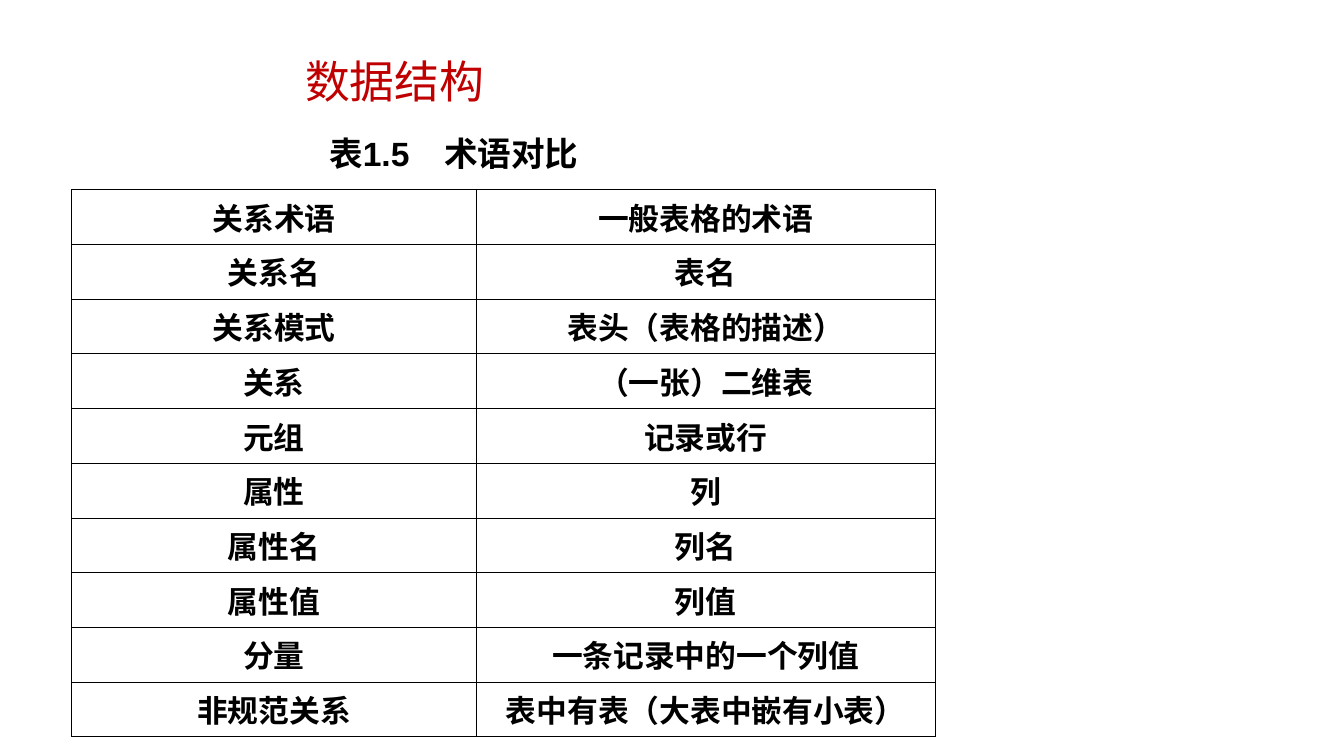
from lxml import etree
from pptx import Presentation
from pptx.dml.color import RGBColor
from pptx.enum import text
from pptx.oxml import ns
from pptx.util import Inches, Pt

TITLE = "数据结构"
LABEL = "表1.5\t术语对比"
TERMS = [
    ("关系术语", "一般表格的术语"),
    ("关系名", "表名"),
    ("关系模式", "表头（表格的描述）"),
    ("关系", "（一张）二维表"),
    ("元组", "记录或行"),
    ("属性", "列"),
    ("属性名", "列名"),
    ("属性值", "列值"),
    ("分量", "一条记录中的一个列值"),
    ("非规范关系", "表中有表（大表中嵌有小表）"),
]
COLS = (4.02, 4.55)
HIGH = 5.43
RED = RGBColor(0xC0, 0x00, 0x00)
BLACK = RGBColor(0x00, 0x00, 0x00)
WHITE = RGBColor(0xFF, 0xFF, 0xFF)
HAN = "Noto Sans CJK SC"


def style(para, size, face, color, bold=False):
    for run in para.runs:
        font = run.font
        font.size, font.name, font.bold = Pt(size), face, bold
        font.color.rgb = color
        east = etree.SubElement(run._r.get_or_add_rPr(), ns.qn("a:ea"))
        east.set("typeface", HAN)


def add_text(slide, box, words):
    frame = slide.shapes.add_textbox(*map(Inches, box)).text_frame
    frame.word_wrap = True
    para = frame.paragraphs[0]
    para.text = words
    return frame, para


def add_edges(cell):
    props = cell._tc.get_or_add_tcPr()
    for spot, side in enumerate(("lnL", "lnR", "lnT", "lnB")):
        line = etree.Element(ns.qn("a:" + side), w=str(Pt(0.45)))
        fill = etree.SubElement(line, ns.qn("a:solidFill"))
        etree.SubElement(fill, ns.qn("a:srgbClr"), val=str(BLACK))
        props.insert(spot, line)


def add_terms(slide):
    size = map(Inches, (0.71, 1.88, sum(COLS), HIGH))
    table = slide.shapes.add_table(len(TERMS), len(COLS), *size).table
    table.first_row = table.horz_banding = False
    for col, width in zip(table.columns, COLS):
        col.width = Inches(width)
    for row, words in zip(table.rows, TERMS):
        row.height = Inches(HIGH / len(TERMS))
        for cell, word in zip(row.cells, words):
            cell.fill.solid()
            cell.fill.fore_color.rgb = WHITE
            add_edges(cell)
            para = cell.text_frame.paragraphs[0]
            para.text = word
            para.alignment = text.PP_ALIGN.CENTER
            style(para, 22, "Times New Roman", BLACK, True)


def main():
    deck = Presentation()
    deck.slide_width, deck.slide_height = Inches(13.34), Inches(7.5)
    slide = deck.slides.add_slide(deck.slide_layouts[6])

    frame, para = add_text(slide, (2.93, 0.55, 5, 0.57), TITLE)
    frame.vertical_anchor = text.MSO_ANCHOR.MIDDLE
    para.line_spacing = 0.9
    style(para, 32, HAN, RED)

    add_terms(slide)

    frame, para = add_text(slide, (3.17, 1.27, 3.63, 0.5), LABEL)
    tabs = etree.SubElement(para._p.get_or_add_pPr(), ns.qn("a:tabLst"))
    etree.SubElement(tabs, ns.qn("a:tab"), pos=str(Inches(1.14)), algn="l")
    style(para, 24, "Arial", BLACK, True)

    deck.save("out.pptx")


if __name__ == "__main__":
    main()
